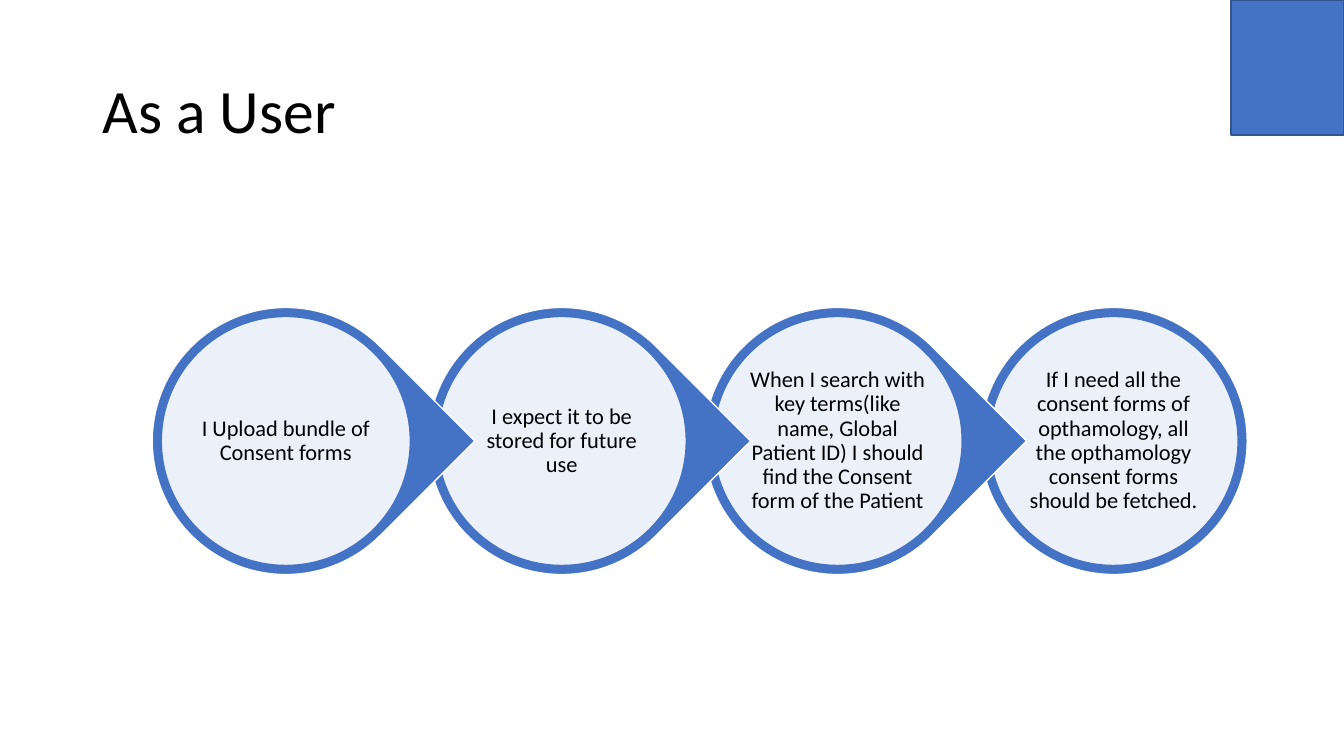
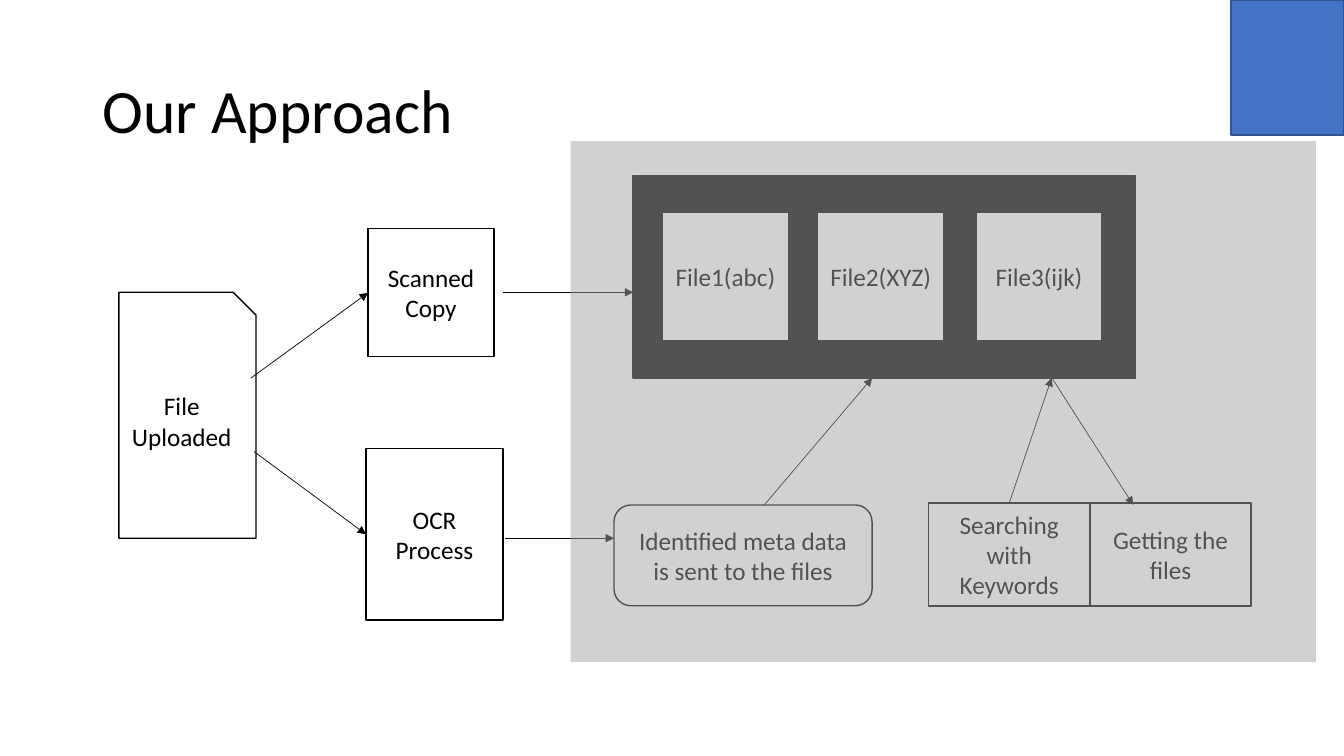
"""Build two slides on finding consent forms: the user's story and the approach."""
from lxml import etree
from pptx import Presentation
from pptx import util as u
from pptx.dml.color import RGBColor
from pptx.enum import shapes, text
from pptx.oxml.ns import qn

COLORS = {"blue": "4472C4", "navy": "325491", "black": "000000", "white": "FFFFFF", "gray": "A5A5A5"}
KINDS = shapes.MSO_SHAPE


class Deck:
    """Holds the shared style and the slide being filled."""

    font = "Calibri"

    def __init__(self):
        self.prs = Presentation()
        self.prs.slide_width, self.prs.slide_height = u.Inches(13.33), u.Inches(7.5)
        self.layout = self.prs.slide_layouts[5]
        self.slide = None

    def color(self, name):
        return RGBColor.from_string(COLORS[name])

    def start_slide(self, heading):
        self.slide = self.prs.slides.add_slide(self.layout)
        title = self.slide.shapes.title
        title.left, title.top, title.width, title.height = map(u.Inches, (0.92, 0.4, 11.5, 1.45))
        self.set_text(title.text_frame, heading, 44, text.PP_ALIGN.LEFT, 0.9)

    def share_corner(self):
        corner = self.box(KINDS.FLOWCHART_PROCESS, (12.21, 0, 1.12, 1.34), "blue", "navy")
        self.layout.shapes.element.append(corner.element)

    def set_text(self, frame, words, size, align=text.PP_ALIGN.CENTER, spacing=1.0):
        frame.word_wrap = True
        frame.auto_size = text.MSO_AUTO_SIZE.NONE
        frame.vertical_anchor = text.MSO_ANCHOR.MIDDLE
        paragraph = frame.paragraphs[0]
        paragraph.alignment, paragraph.line_spacing = align, spacing
        run = paragraph.add_run()
        run.text = words
        run.font.name, run.font.size = self.font, u.Pt(size)
        run.font.color.rgb = self.color("black")

    def box(self, kind, at, fill="white", line="black", words=None, opacity=100):
        shape = self.slide.shapes.add_shape(kind, *map(u.Inches, at))
        shape.shadow.inherit = False
        shape.fill.solid()
        shape.fill.fore_color.rgb = self.color(fill)
        if opacity < 100:
            tint = shape.element.spPr.find(qn("a:solidFill"))[0]
            etree.SubElement(tint, qn("a:alpha"), val=str(opacity * 1000))
        if line:
            shape.line.color.rgb = self.color(line)
            shape.line.width = u.Pt(1)
        else:
            shape.line.fill.background()
        if words:
            self.set_text(shape.text_frame, words, 18)
        return shape

    def step(self, left, top, words, is_last):
        size, rim = 2.65, 0.09
        kind = KINDS.OVAL if is_last else KINDS.TEAR
        marker = self.box(kind, (left, top, size, size), "blue", "white")
        marker.rotation = 0 if is_last else 45
        inner = size - 2 * rim
        disc = self.box(KINDS.OVAL, (left + rim, top + rim, inner, inner), "white", "blue", opacity=90)
        frame = disc.text_frame
        frame.margin_left = frame.margin_right = frame.margin_top = frame.margin_bottom = 0
        self.set_text(frame, words, 16, spacing=0.9)

    def arrow(self, start, end, source=None, target=None):
        arrow = self.slide.shapes.add_connector(
            shapes.MSO_CONNECTOR.STRAIGHT, *map(u.Inches, (*start, *end)))
        if source:
            arrow.begin_connect(*source)
        if target:
            arrow.end_connect(*target)
        arrow.line.color.rgb = self.color("black")
        arrow.line.width = u.Pt(0.5)
        outline = arrow.element.spPr.find(qn("a:ln"))
        etree.SubElement(outline, qn("a:tailEnd"), type="triangle")
        etree.SubElement(arrow.element.spPr, qn("a:effectLst"))


def user_story(deck):
    """Draw the chain of four user steps."""
    deck.start_slide("As a User")
    deck.share_corner()
    steps = [
        "I Upload bundle of Consent forms",
        "I expect it to be stored for future use",
        "When I search with key terms(like name, Global Patient ID) I should find the Consent form of the Patient",
        "If I need all the consent forms of opthamology, all the opthamology consent forms should be fetched.",
    ]
    first, last = 1.51, 9.72
    pitch = (last - first) / (len(steps) - 1)
    for index, words in reversed(list(enumerate(steps))):
        deck.step(first + index * pitch, 3.05, words, index == len(steps) - 1)


def approach(deck):
    """Draw the flow from upload to storage and search."""
    deck.start_slide("Our Approach")
    deck.box(KINDS.SNIP_1_RECTANGLE, (1.18, 2.9, 1.36, 2.44), words="File Uploaded")
    scanned = deck.box(KINDS.RECTANGLE, (3.65, 2.27, 1.25, 1.27), words="Scanned Copy")
    ocr = deck.box(KINDS.RECTANGLE, (3.63, 4.45, 1.36, 1.7), words="OCR Process")
    deck.box(KINDS.RECTANGLE, (6.28, 1.74, 4.98, 2.01), fill="black")
    for left, name in ((6.57, "File1(abc)"), (8.11, "File2(XYZ)"), (9.68, "File3(ijk)")):
        deck.box(KINDS.RECTANGLE, (left, 2.11, 1.25, 1.27), words=name)
    deck.box(KINDS.ROUNDED_RECTANGLE, (6.09, 5.01, 2.56, 1), words="Identified meta data is sent to the files")
    searching, _ = [
        deck.box(KINDS.FLOWCHART_PROCESS, (left, 4.99, 1.6, 1.02), words=words)
        for left, words in ((9.21, "Searching with Keywords"), (10.81, "Getting the files"))
    ]
    deck.arrow((2.49, 3.75), (3.65, 2.9), target=(scanned, 1))
    deck.arrow((2.52, 4.48), (3.63, 5.3), target=(ocr, 1))
    deck.arrow((5.01, 5.34), (6.09, 5.34))
    deck.arrow((7.58, 5.01), (8.65, 3.75))
    deck.arrow((4.99, 2.9), (6.28, 2.9))
    deck.arrow((10.01, 4.99), (10.43, 3.75), source=(searching, 0))
    deck.arrow((10.44, 3.76), (11.24, 5.01))
    deck.box(KINDS.FLOWCHART_PROCESS, (5.66, 1.4, 7.39, 5.17), "gray", None, opacity=50)


def main():
    """Build and save the deck."""
    deck = Deck()
    user_story(deck)
    approach(deck)
    deck.prs.save("out.pptx")


if __name__ == "__main__":
    main()
